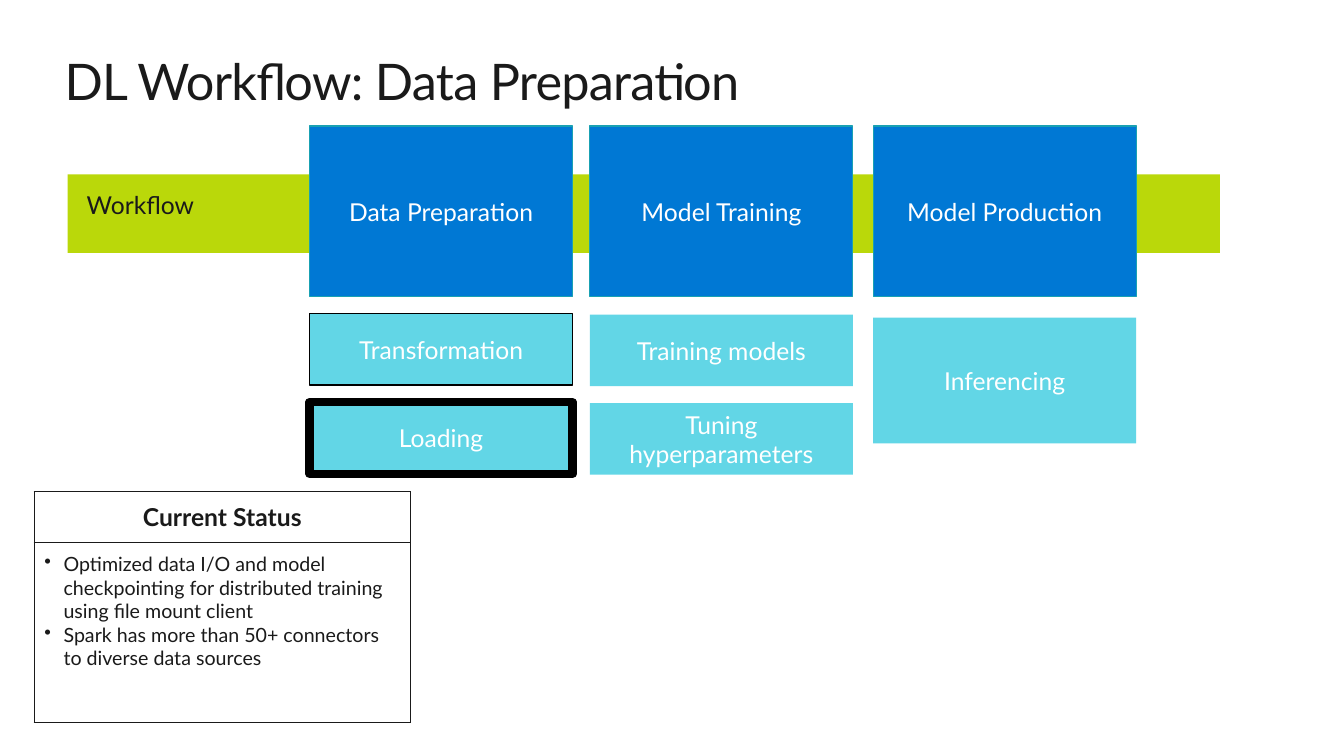
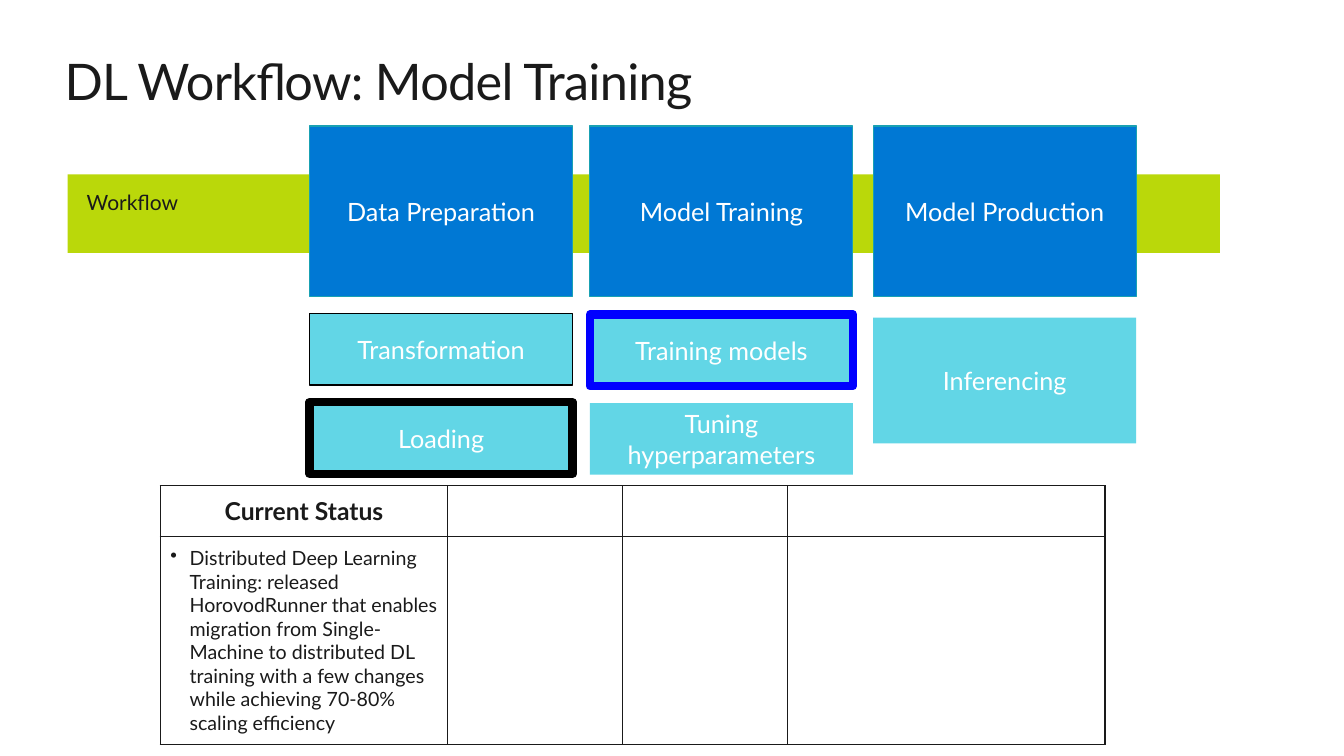
import pptx
import pptx.util
import pptx.dml.color
import pptx.enum.shapes
import pptx.enum.text
import pptx.oxml
import pptx.oxml.ns
from lxml import etree

Inches = pptx.util.Inches
Pt = pptx.util.Pt
Align = pptx.enum.text.PP_ALIGN
Anchor = pptx.enum.text.MSO_ANCHOR

COLORS = {
    "ink": "1A1A1A", "white": "FFFFFF", "band": "BAD80A", "stage": "0078D4",
    "stage_edge": "19A1B3", "step": "62D6E6", "black": "000000", "focus": "0000FF",
}
FONT = "Lato"
STAGES = ["Data Preparation", "Model Training", "Model Production"]
STAGE_LEFTS = [3.07, 5.85, 8.66]
STAGE_WIDTH = 2.61
# text, column, top, height
STEPS = [
    ("Transformation", 0, 3.11, 0.71),
    ("Loading", 0, 3.99, 0.71),
    ("Training models", 1, 3.12, 0.71),
    ("Tuning hyperparameters", 1, 4.0, 0.71),
    ("Inferencing", 2, 3.15, 1.25),
]


def color(name):
    return pptx.dml.color.RGBColor.from_string(COLORS[name])


def write(para, text, size=18, fill="ink", bold=False, align=Align.LEFT,
          spacing=None, bullet=False):
    """Put one formatted span into a paragraph; spacing is in points."""
    if bullet:
        properties = para._p.get_or_add_pPr()
        properties.set("marL", str(Inches(0.19)))
        properties.set("indent", str(-Inches(0.19)))
        mark = etree.SubElement(properties, pptx.oxml.ns.qn("a:buChar"))
        mark.set("char", "•")
    para.alignment = align
    span = para.add_run()
    span.text = text
    span.font.name = FONT
    span.font.size = Pt(size)
    span.font.bold = bold
    span.font.color.rgb = color(fill)
    if spacing is not None:
        span.font._element.set("spc", str(int(spacing * 100)))


def set_borders(cell, name="ink", width=1):
    """Draw all four sides of a table cell."""
    properties = cell._tc.get_or_add_tcPr()
    for position, side in enumerate(("lnL", "lnR", "lnT", "lnB")):
        properties.insert(position, pptx.oxml.parse_xml(
            f'<a:{side} {pptx.oxml.ns.nsdecls("a")} w="{Pt(width)}">'
            f'<a:solidFill><a:srgbClr val="{COLORS[name]}"/></a:solidFill>'
            f'</a:{side}>'))


class WorkflowDeck:
    def __init__(self):
        self.deck = pptx.Presentation()
        self.deck.slide_width = Inches(13.33)
        self.deck.slide_height = Inches(7.5)
        self.page = None

    def new_page(self, title):
        self.page = self.deck.slides.add_slide(self.deck.slide_layouts[6])
        self.text(title, 0.64, 0.5, 12.05, 0.61, margins=(0, 0),
                  size=36, spacing=-0.5)

    def fill_frame(self, box, text, margins=(0.07, 0.04), anchor=Anchor.TOP, **style):
        frame = box.text_frame
        frame.word_wrap = True
        frame.vertical_anchor = anchor
        frame.margin_left = frame.margin_right = Inches(margins[0])
        frame.margin_top = frame.margin_bottom = Inches(margins[1])
        write(frame.paragraphs[0], text, **style)

    def text(self, text, left, top, width, height, **style):
        box = self.page.shapes.add_textbox(
            Inches(left), Inches(top), Inches(width), Inches(height))
        self.fill_frame(box, text, **style)

    def block(self, left, top, width, height, fill, edge=None, text=None, size=18):
        """Add a rectangle; edge is a (colour, points) pair."""
        box = self.page.shapes.add_shape(
            pptx.enum.shapes.MSO_SHAPE.RECTANGLE,
            Inches(left), Inches(top), Inches(width), Inches(height))
        box.shadow.inherit = False
        box.fill.solid()
        box.fill.fore_color.rgb = color(fill)
        if edge:
            box.line.color.rgb = color(edge[0])
            box.line.width = Pt(edge[1])
            etree.SubElement(box.line._get_or_add_ln(), pptx.oxml.ns.qn("a:round"))
        else:
            box.line.fill.background()
        if text:
            self.fill_frame(box, text, anchor=Anchor.MIDDLE, size=size,
                            fill="white", align=Align.CENTER)

    def workflow(self, size, label_size, edges):
        """Draw the band, its stages and their steps; edges maps step to edge."""
        self.block(0.67, 1.73, 11.43, 0.78, "band")
        self.text("Workflow", 0.79, 1.84, 2.06, 0.52, size=label_size)
        for stage, left in zip(STAGES, STAGE_LEFTS):
            self.block(left, 1.25, STAGE_WIDTH, 1.69, "stage",
                       ("stage_edge", 0.75), stage, size)
        for step, column, top, height in STEPS:
            self.block(STAGE_LEFTS[column], top, STAGE_WIDTH, height, "step",
                       edges.get(step), step, size)

    def status_table(self, left, top, widths, heights, points):
        """Add a table whose first column holds the status heading and points."""
        table = self.page.shapes.add_table(
            len(heights), len(widths), Inches(left), Inches(top),
            Inches(sum(widths)), Inches(sum(heights))).table
        table.first_row = table.horz_banding = False
        for column, width in zip(table.columns, widths):
            column.width = Inches(width)
        for row, height in zip(table.rows, heights):
            row.height = Inches(height)
        for cell in table.iter_cells():
            cell.fill.background()
            set_borders(cell)
        heading, body = table.cell(0, 0), table.cell(1, 0)
        for cell in (heading, body):
            cell.margin_left = cell.margin_right = Inches(0.1)
            cell.margin_top = cell.margin_bottom = Inches(0.1)
        write(heading.text_frame.paragraphs[0], "Current Status", size=17.6,
              bold=True, align=Align.CENTER)
        frame = body.text_frame
        for index, point in enumerate(points):
            para = frame.add_paragraph() if index else frame.paragraphs[0]
            write(para, point, size=14, bullet=True)


def main():
    show = WorkflowDeck()
    edges = {"Transformation": ("black", 0.75), "Loading": ("black", 6)}

    show.new_page("DL Workflow: Data Preparation")
    show.workflow(17.6, 17.6, edges)
    show.status_table(0.34, 4.88, [3.73], [0.5, 1.79], [
        "Optimized data I/O and model checkpointing for distributed training "
        "using file mount client",
        "Spark has more than 50+ connectors to diverse data sources",
    ])

    show.new_page("DL Workflow: Model Training")
    show.workflow(18, 15, {**edges, "Training models": ("focus", 6)})
    show.status_table(1.59, 4.82, [2.85, 1.73, 1.64, 3.15], [0.5, 2.07], [
        "Distributed Deep Learning Training: released HorovodRunner that enables "
        "migration from Single-Machine to distributed DL training with a few "
        "changes while achieving 70-80% scaling efficiency",
    ])

    show.deck.save("out.pptx")


if __name__ == "__main__":
    main()
